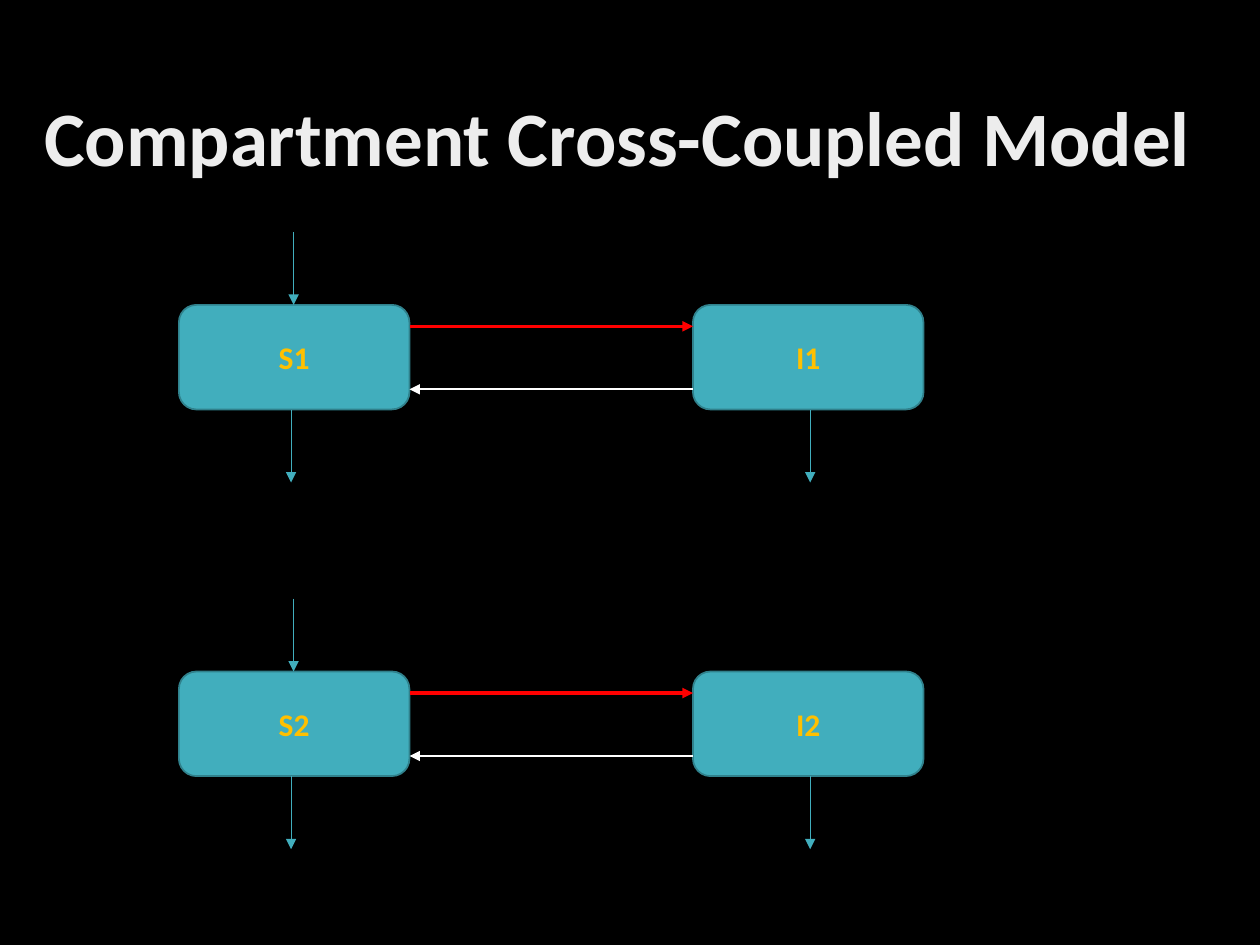
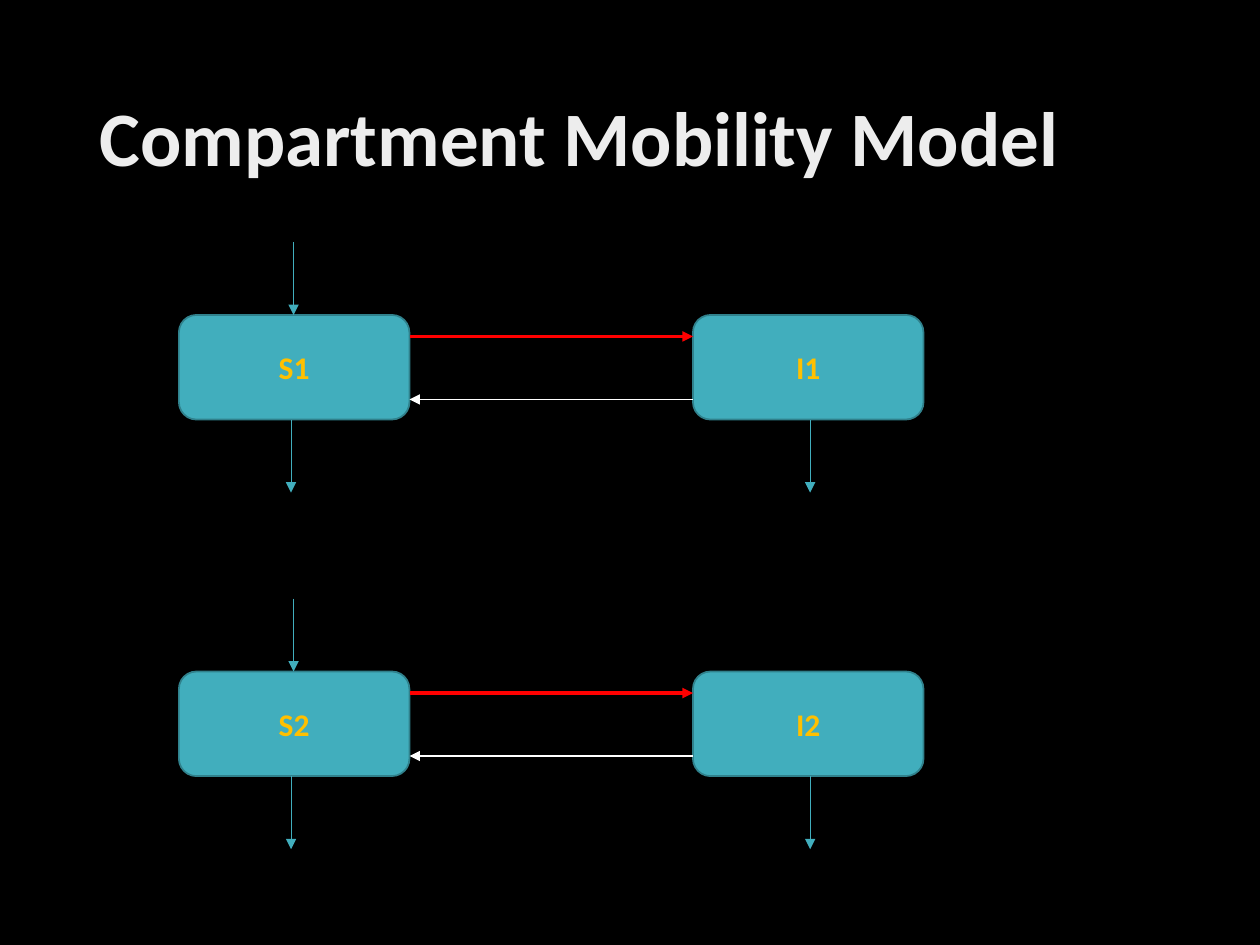
"""Two slides of coupled S and I compartments joined by flow arrows."""
from dataclasses import dataclass
from typing import Any

from lxml.etree import SubElement
from pptx import Presentation
from pptx.dml.color import RGBColor
from pptx.enum.shapes import MSO_CONNECTOR as Connector, MSO_SHAPE as Shape
from pptx.enum.text import MSO_ANCHOR as Anchor, MSO_AUTO_SIZE as AutoSize, PP_ALIGN as Align
from pptx.oxml.ns import qn
from pptx.util import Inches, Pt

BLACK, WHITE, RED = "000000", "FFFFFF", "FF0000"
TEAL, DARK_TEAL, GOLD, PALE = "41AEBD", "30818C", "FFC000", "EDEDED"

TITLE_FONT = {"name": "Calibri", "size": Pt(44), "bold": True}
BOX_FONT = {"name": "Calibri", "size": Pt(18), "bold": True}
TITLE_FRAME = {"word_wrap": True, "auto_size": AutoSize.NONE, "vertical_anchor": Anchor.MIDDLE}
BOX_FRAME = {"word_wrap": True, "vertical_anchor": Anchor.MIDDLE}
TITLE_PARA = {"alignment": Align.LEFT, "line_spacing": 0.9}
BOX_PARA = {"alignment": Align.CENTER}

TITLE_TOP, TITLE_HEIGHT = 0.4, 1.45
BOX_WIDTH, BOX_HEIGHT = 1.83, 0.83
S_LEFT, I_LEFT = 1.42, 5.5
S_RIGHT = S_LEFT + BOX_WIDTH
INFLOW_X, S_OUTFLOW_X, I_OUTFLOW_X = 2.33, 2.31, 6.43
FLOW_LENGTH = 0.58
INFECTION_DROP, RECOVERY_DROP = 0.17, 0.67


@dataclass(frozen=True)
class ModelSlide:
    """A titled slide with one top position for each row of compartments."""
    title: str
    title_left: float
    title_width: float
    row_tops: tuple[float, ...]


@dataclass(frozen=True)
class Flow:
    """An arrow between two points, given in inches."""
    start: tuple[float, float]
    end: tuple[float, float]
    color: str
    weight: float


MODELS = (
    ModelSlide("Compartment Cross-Coupled Model", 0.25, 9.75, (2.42, 5.33)),
    ModelSlide("Compartment Mobility Model", 0.69, 8.62, (2.5, 5.33)),
)


def rgb(color: str) -> RGBColor:
    """Turn a hex string into a colour."""
    return RGBColor.from_string(color)


def apply_format(target: Any, values: dict[str, Any]) -> None:
    """Set each named format value on the target."""
    for name, value in values.items():
        setattr(target, name, value)


def write_text(shape: Any, text: str, frame_format: dict[str, Any],
               para_format: dict[str, Any], font_format: dict[str, Any], color: str) -> None:
    """Fill a shape with one formatted line of text."""
    frame = shape.text_frame
    apply_format(frame, frame_format)
    para = frame.paragraphs[0]
    apply_format(para, para_format)
    span = para.add_run()
    span.text = text
    apply_format(span.font, font_format)
    span.font.color.rgb = rgb(color)


def place_title(page: Any, model: ModelSlide) -> None:
    """Move and format the title placeholder."""
    title = page.shapes.title
    apply_format(title, {
        "left": Inches(model.title_left), "top": Inches(TITLE_TOP),
        "width": Inches(model.title_width), "height": Inches(TITLE_HEIGHT),
    })
    write_text(title, model.title, TITLE_FRAME, TITLE_PARA, TITLE_FONT, PALE)


def draw_compartment(page: Any, label: str, left: float, top: float) -> None:
    """Draw one labelled compartment."""
    box = page.shapes.add_shape(Shape.ROUNDED_RECTANGLE, Inches(left), Inches(top),
                                Inches(BOX_WIDTH), Inches(BOX_HEIGHT))
    box.shadow.inherit = False
    box.fill.solid()
    box.fill.fore_color.rgb = rgb(TEAL)
    box.line.color.rgb = rgb(DARK_TEAL)
    box.line.width = Pt(1)
    write_text(box, label, BOX_FRAME, BOX_PARA, BOX_FONT, GOLD)


def draw_flow(page: Any, flow: Flow) -> None:
    """Draw one flow as a line with an arrowhead at its end."""
    ends = (Inches(length) for length in (*flow.start, *flow.end))
    arrow = page.shapes.add_connector(Connector.STRAIGHT, *ends)
    arrow.line.color.rgb = rgb(flow.color)
    arrow.line.width = Pt(flow.weight)
    properties = arrow._element.spPr
    SubElement(properties.find(qn("a:ln")), qn("a:tailEnd"), type="triangle")
    SubElement(properties, qn("a:effectLst"))


def row_flows(top: float) -> tuple[Flow, ...]:
    """List the flows of a row whose compartments start at the given top."""
    bottom = top + BOX_HEIGHT
    infection, recovery = top + INFECTION_DROP, top + RECOVERY_DROP
    outflows = (Flow((x, bottom), (x, bottom + FLOW_LENGTH), TEAL, 0.5)
                for x in (S_OUTFLOW_X, I_OUTFLOW_X))
    return (
        Flow((S_RIGHT, infection), (I_LEFT, infection), RED, 2),
        Flow((I_LEFT, recovery), (S_RIGHT, recovery), WHITE, 1),
        Flow((INFLOW_X, top - FLOW_LENGTH), (INFLOW_X, top), TEAL, 0.5),
        *outflows,
    )


def draw_model(deck: Any, model: ModelSlide) -> None:
    """Add one model slide to the deck."""
    page = deck.slides.add_slide(deck.slide_layouts.get_by_name("Title Only"))
    place_title(page, model)
    for number, top in enumerate(model.row_tops, start=1):
        for letter, left in (("S", S_LEFT), ("I", I_LEFT)):
            draw_compartment(page, f"{letter}{number}", left, top)
        for flow in row_flows(top):
            draw_flow(page, flow)


def main() -> None:
    """Build and save the deck."""
    deck = Presentation()
    deck.slide_width, deck.slide_height = Inches(10), Inches(7.5)
    backdrop = deck.slide_master.background.fill
    backdrop.solid()
    backdrop.fore_color.rgb = rgb(BLACK)
    for model in MODELS:
        draw_model(deck, model)
    deck.save("out.pptx")


if __name__ == "__main__":
    main()
